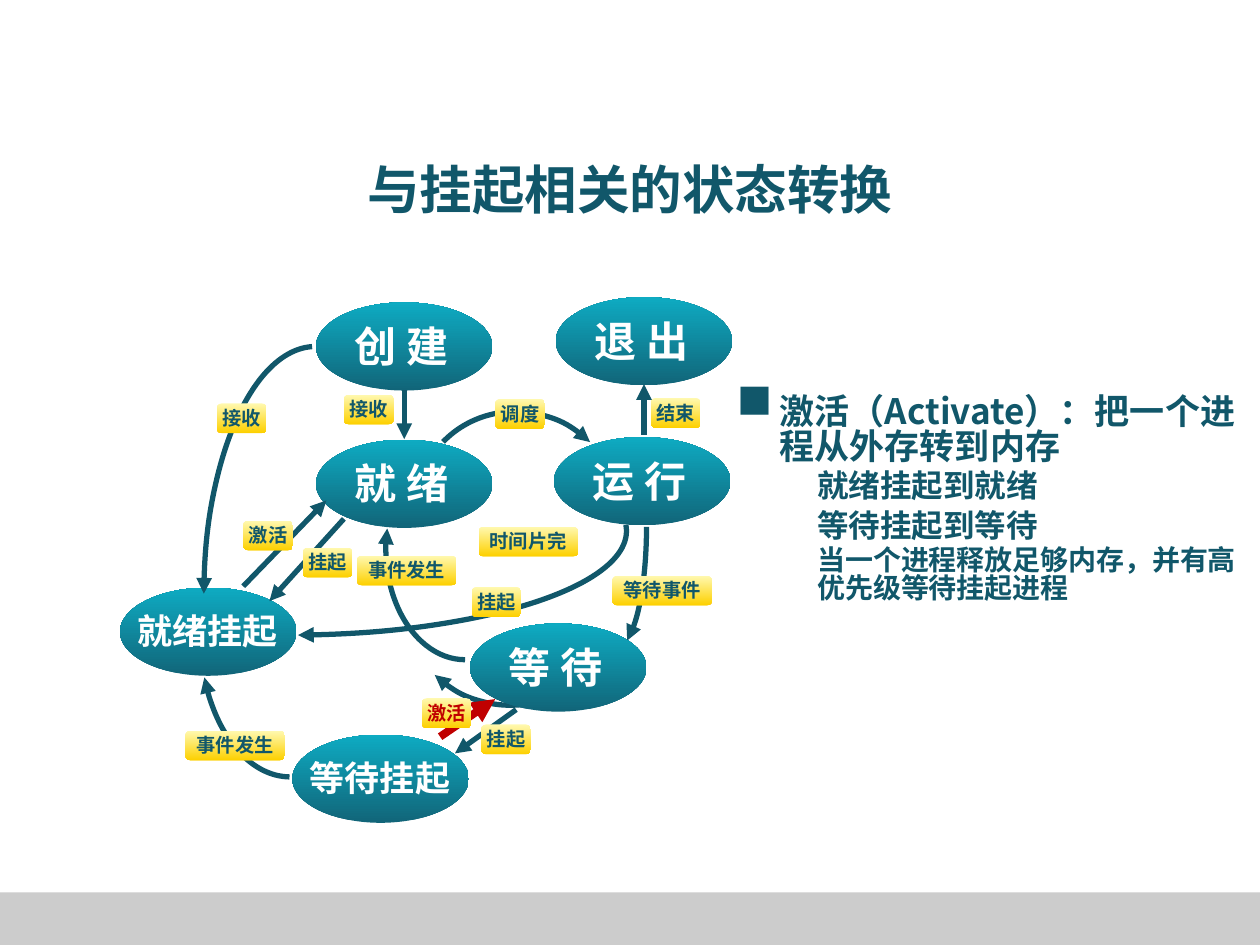
from lxml import etree
from pptx import Presentation
from pptx import util as u
from pptx.dml.color import RGBColor
from pptx.enum import shapes, text
from pptx.oxml.ns import qn

FONT = "Noto Sans CJK SC"
INK, RED, WHITE = "11576A", "C00000", "FFFFFF"

STATES = [
    ("创 建", 231, 198, 24),
    ("就 绪", 231, 276.5, 24),
    ("运 行", 367, 275, 24),
    ("等 待", 319, 381.5, 24),
    ("退 出", 368, 195, 24),
    ("就绪挂起", 119, 361, 20),
    ("等待挂起", 217.5, 445, 20),
]

BACK_ARCS = [
    dict(frame=(333.5, 230.5, 36, 141), angles=(0.08, 50.35)),
    dict(frame=(229.5, 280, 120, 124), angles=(160.58, 215.56), rotation=134),
    dict(frame=(238.5, 234, 116.5, 121), angles=(162, 0), rotation=314),
]
FRONT_ARCS = [
    dict(frame=(-30, 244, 388, 119), angles=(215.38, 50.37)),
    dict(frame=(220.5, 250.5, 90.5, 126.5), angles=(207.14, 54), flips=("flipH",), end="headEnd"),
    dict(frame=(114.5, 282, 103, 162), angles=(15.68, 53.78), flips=("flipH",), end="headEnd"),
    dict(frame=(116.5, 198, 127.5, 284.5), angles=(0.54, 53.54), flips=("flipH", "flipV"), end="headEnd"),
]

ARROWS = [
    ((231, 223), (231, 251), INK, 3),
    ((368, 248.5), (368, 219.5), INK, 3),
    ((295, 405.5), (260, 430.5), INK, 3),
    ((251.5, 421), (283, 399.5), RED, 4.5),
    ((139, 335), (186.5, 286), INK, 3),
    ((196.5, 296.5), (154, 343.5), INK, 3),
]

LABELS = [
    ("挂起", 269.5, 335.5, INK),
    ("接收", 124, 230.5, INK),
    ("事件发生", 106, 417.5, INK),
    ("接收", 196.5, 225.5, INK),
    ("激活", 139, 297.5, INK),
    ("挂起", 173, 313, INK),
    ("事件发生", 204, 317.5, INK),
    ("激活", 241, 399, RED),
    ("挂起", 275, 414, INK),
    ("等待事件", 350, 329, INK),
    ("时间片完", 273.5, 301, INK),
    ("调度", 283, 228, INK),
    ("结束", 372, 227.5, INK),
]


def color(value):
    return RGBColor.from_string(value)


def points(values):
    return [u.Pt(value) for value in values]


def add_text(page, words, frame, size=18, ink=INK, font=FONT, centered=False,
             middle=False, wrap=True, spacing=None):
    box = page.shapes.add_textbox(*points(frame))
    body = box.text_frame
    body.word_wrap = wrap
    body.vertical_anchor = text.MSO_ANCHOR.MIDDLE if middle else text.MSO_ANCHOR.TOP
    para = body.paragraphs[0]
    para.alignment = text.PP_ALIGN.CENTER if centered else text.PP_ALIGN.LEFT
    if spacing:
        para.line_spacing = spacing
    span = para.add_run()
    span.text = words
    span.font.name = font
    span.font.size = u.Pt(size)
    span.font.bold = True
    span.font.color.rgb = color(ink)
    east = etree.SubElement(span.font._element, qn("a:ea"))
    east.set("typeface", font)


def add_solid(page, kind, frame, fills, angle=0):
    shape = page.shapes.add_shape(kind, *points(frame))
    shape.shadow.inherit = False
    shape.line.fill.background()
    if len(fills) == 1:
        shape.fill.solid()
        shape.fill.fore_color.rgb = color(fills[0])
    else:
        shape.fill.gradient()
        shape.fill.gradient_angle = angle
        for stop, value in zip(shape.fill.gradient_stops, fills):
            stop.color.rgb = color(value)


def style_arrow(shape, ink, width, end):
    shape.line.color.rgb = color(ink)
    shape.line.width = u.Pt(width)
    outline = shape.element.spPr.find(qn("a:ln"))
    etree.SubElement(outline, qn("a:" + end)).set("type", "triangle")


def add_arc(page, frame, angles, rotation=0, flips=(), end="tailEnd"):
    arc = page.shapes.add_shape(shapes.MSO_SHAPE.ARC, *points(frame))
    arc.shadow.inherit = False
    arc.fill.background()
    arc.rotation = rotation
    for index, angle in enumerate(angles):
        arc.adjustments[index] = angle
    for flip in flips:
        arc.element.spPr.find(qn("a:xfrm")).set(flip, "1")
    style_arrow(arc, INK, 3, end)


def add_arrow(page, start, finish, ink, width):
    arrow = page.shapes.add_connector(shapes.MSO_CONNECTOR.STRAIGHT, *points(start + finish))
    style_arrow(arrow, ink, width, "tailEnd")
    etree.SubElement(arrow.element.spPr, qn("a:effectLst"))


def add_state(page, name, x, y, size):
    add_solid(page, shapes.MSO_SHAPE.OVAL, (x - 50.4, y - 25.2, 100.8, 50.4),
              ("116579", "0EABC2"), angle=90)
    width = 70.5 if size == 24 else 95
    add_text(page, name, (x - width / 2, y - 18.5, width, 36), size=size, ink=WHITE,
             middle=True, wrap=False)


def add_label(page, words, left, top, ink):
    width = 14.2 * len(words)
    add_solid(page, shapes.MSO_SHAPE.ROUNDED_RECTANGLE, (left, top, width, 17),
              ("FFF9B1", "FDD000"), angle=270)
    add_text(page, words, (left - 5.5, top - 2.25, width + 11, 21), size=11, ink=ink,
             centered=True, middle=True)


def add_notes_column(page):
    add_text(page, "激活（Activate）：把一个进程从外存转到内存", (438.5, 223, 288, 62),
             size=20, spacing=u.Pt(20))
    add_text(page, "■", (414.5, 217, 29.5, 31.5), size=20, font="Noto Sans CJK JP", spacing=0.84)
    add_text(page, "就绪挂起到就绪", (460, 262.5, 416, 67.5), spacing=1.0)
    add_text(page, "当一个进程释放足够内存，并有高优先级等待挂起进程", (460, 309.5, 258.5, 96),
             size=16, spacing=0.84)
    add_text(page, "等待挂起到等待", (460, 285.5, 168, 40), spacing=1.0)


def main():
    deck = Presentation()
    deck.slide_width, deck.slide_height = points((720, 540))
    page = deck.slides.add_slide(deck.slide_layouts[6])
    add_solid(page, shapes.MSO_SHAPE.RECTANGLE, (0, 510, 720, 30), ("CCCCCC",))
    add_text(page, "与挂起相关的状态转换", (54, 75, 612, 66), size=30, centered=True, middle=True)
    add_notes_column(page)
    for arc in BACK_ARCS:
        add_arc(page, **arc)
    for state in STATES:
        add_state(page, *state)
    for arc in FRONT_ARCS:
        add_arc(page, **arc)
    for arrow in ARROWS:
        add_arrow(page, *arrow)
    for label in LABELS:
        add_label(page, *label)
    deck.save("out.pptx")


if __name__ == "__main__":
    main()
